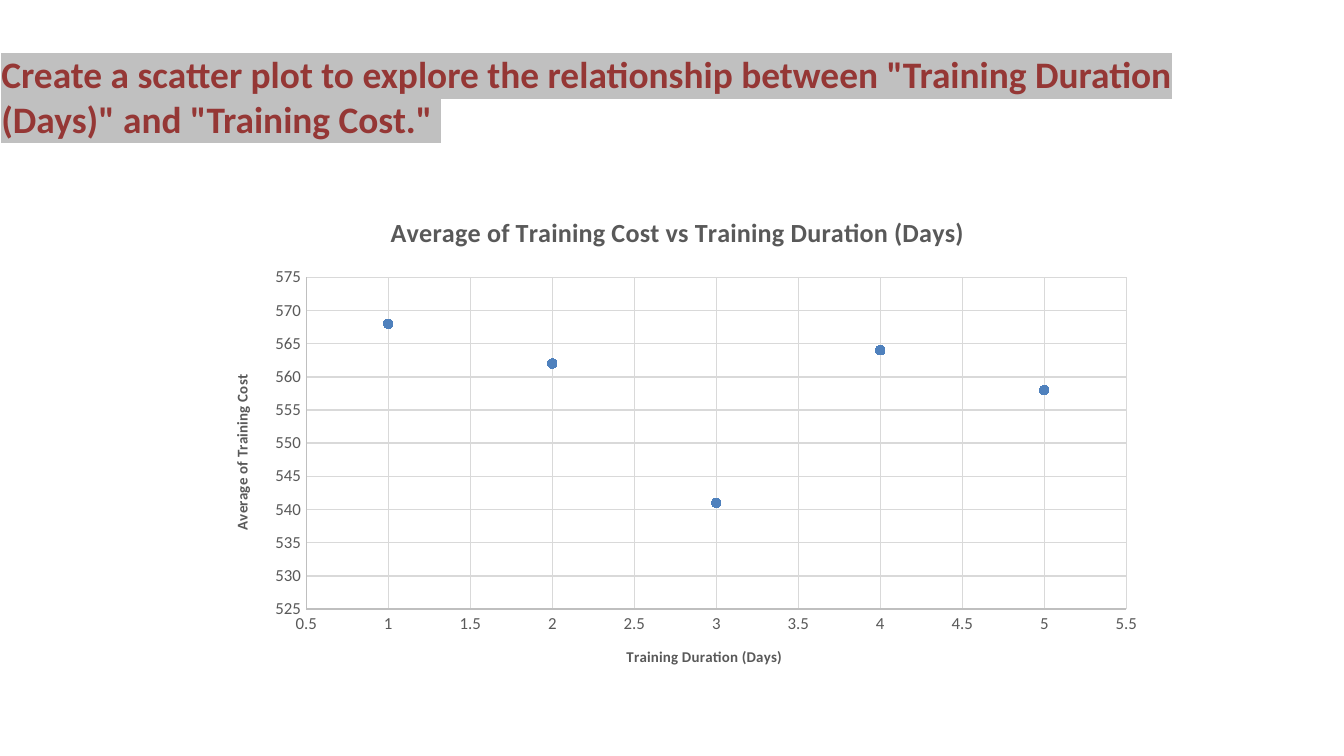
from dataclasses import dataclass

from lxml import etree
from pptx import Presentation
from pptx.chart.data import XyChartData
from pptx.dml.color import RGBColor
from pptx.enum.chart import XL_CHART_TYPE, XL_MARKER_STYLE, XL_TICK_MARK
from pptx.enum.text import MSO_ANCHOR, MSO_AUTO_SIZE, PP_ALIGN
from pptx.oxml.ns import qn
from pptx.util import Inches, Pt

SCATTER = XL_CHART_TYPE.XY_SCATTER
CIRCLE = XL_MARKER_STYLE.CIRCLE
NO_TICK = XL_TICK_MARK.NONE
TOP, LEFT = MSO_ANCHOR.TOP, PP_ALIGN.LEFT
GROW = MSO_AUTO_SIZE.SHAPE_TO_FIT_TEXT

WIDE = 10
HIGH = WIDE * 9 / 16
HEAD = ('Create a scatter plot to explore the relationship between '
        '"Training Duration (Days)" and "Training Cost." ')
DAYS = (1, 2, 3, 4, 5)
COSTS = (568, 562, 541, 564, 558)


@dataclass(frozen=True)
class Theme:
    face: str = "Calibri"
    head: str = "953735"
    glow: str = "C0C0C0"
    base: str = "000000"
    text: str = "595959"
    axis: str = "BFBFBF"
    grid: str = "D9D9D9"
    dot: str = "4F81BD"
    head_size: int = 20
    chart_size: int = 14
    base_size: int = 10
    tick_size: int = 9
    label_size: int = 8
    line: float = 0.75
    mark: int = 5


class Page:
    def __init__(self, deck, theme):
        self.deck, self.theme = deck, theme
        self.slide = deck.slides.add_slide(deck.slide_layouts[5])

    def box(self, x, y, w, h):
        """Turn shares of the slide's size into lengths."""
        wide, high = self.deck.slide_width, self.deck.slide_height
        return int(x * wide), int(y * high), int(w * wide), int(h * high)

    def style(self, font, size, color, bold=False):
        font.name, font.size, font.bold = self.theme.face, Pt(size), bold
        font.color.rgb = RGBColor.from_string(color)

    def stroke(self, line, color):
        line.color.rgb = RGBColor.from_string(color)
        line.width = Pt(self.theme.line)

    def title(self, text, area):
        shape = self.slide.shapes.title
        shape.left, shape.top, shape.width, shape.height = self.box(*area)
        frame = shape.text_frame
        frame.word_wrap, frame.auto_size = True, GROW
        frame.vertical_anchor = TOP
        para = frame.paragraphs[0]
        para.alignment = LEFT
        self.style(para.font, self.theme.head_size, self.theme.head, True)
        run = para.add_run()
        run.text = text
        props = run._r.get_or_add_rPr()
        mark = etree.SubElement(props, qn("a:highlight"))
        etree.SubElement(mark, qn("a:srgbClr"), val=self.theme.glow)

    def label(self, owner, text, size):
        """Give a chart or an axis its title."""
        owner.has_title = True
        frame = (owner.chart_title if hasattr(owner, "chart_title")
                 else owner.axis_title).text_frame
        frame.text = text
        self.style(frame.paragraphs[0].font, size, self.theme.text, True)

    def axis(self, axis, text, low, high, step):
        axis.minimum_scale, axis.maximum_scale = low, high
        axis.major_unit = step
        axis.major_tick_mark = axis.minor_tick_mark = NO_TICK
        axis.has_major_gridlines = True
        self.stroke(axis.major_gridlines.format.line, self.theme.grid)
        self.stroke(axis.format.line, self.theme.axis)
        self.style(axis.tick_labels.font, self.theme.tick_size,
                   self.theme.text)
        self.label(axis, text, self.theme.label_size)

    def plot(self, chart, **area):
        """Fix the inner plot area, in shares of the chart's size."""
        root = chart._chartSpace.chart.plotArea
        for old in root.findall(qn("c:layout")):
            root.remove(old)
        layout = etree.Element(qn("c:layout"))
        root.insert(0, layout)
        manual = etree.SubElement(layout, qn("c:manualLayout"))
        parts = {"layoutTarget": "inner", "xMode": "edge", "yMode": "edge"}
        for name, value in {**parts, **area}.items():
            etree.SubElement(manual, qn("c:" + name), val=str(value))

    def scatter(self, text, points, area):
        data = XyChartData()
        series = data.add_series("Series 1")
        for x, y in points:
            series.add_data_point(x, y)
        chart = self.slide.shapes.add_chart(
            SCATTER, *self.box(*area), data).chart
        self.style(chart.font, self.theme.base_size, self.theme.base)
        chart.has_legend = False
        self.label(chart, text, self.theme.chart_size)
        chart.plots[0].vary_by_categories = False
        dots = chart.plots[0].series[0]
        dots.smooth = False
        dots.format.line.fill.background()
        dots.marker.style, dots.marker.size = CIRCLE, self.theme.mark
        color = RGBColor.from_string(self.theme.dot)
        look = dots.marker.format
        look.fill.solid()
        look.fill.fore_color.rgb = look.line.color.rgb = color
        return chart


def main():
    deck = Presentation()
    deck.slide_width, deck.slide_height = Inches(WIDE), Inches(HIGH)
    page = Page(deck, Theme())
    page.title(HEAD, (-0.09 / WIDE, 0.33 / HIGH, 9.16 / WIDE, 0.77 / HIGH))
    chart = page.scatter(
        "Average of Training Cost vs Training Duration (Days) ",
        zip(DAYS, COSTS),
        (1.53 / WIDE, 1.43 / HIGH, 7.07 / WIDE, 3.73 / HIGH))
    page.axis(chart.category_axis, "Training Duration (Days) ", 0.5, 5.5, 0.5)
    page.axis(chart.value_axis, "Average of Training Cost ", 525, 575, 5)
    page.plot(chart, x=0.106, y=0.17, w=0.863, h=0.662)
    deck.save("out.pptx")


if __name__ == "__main__":
    main()
